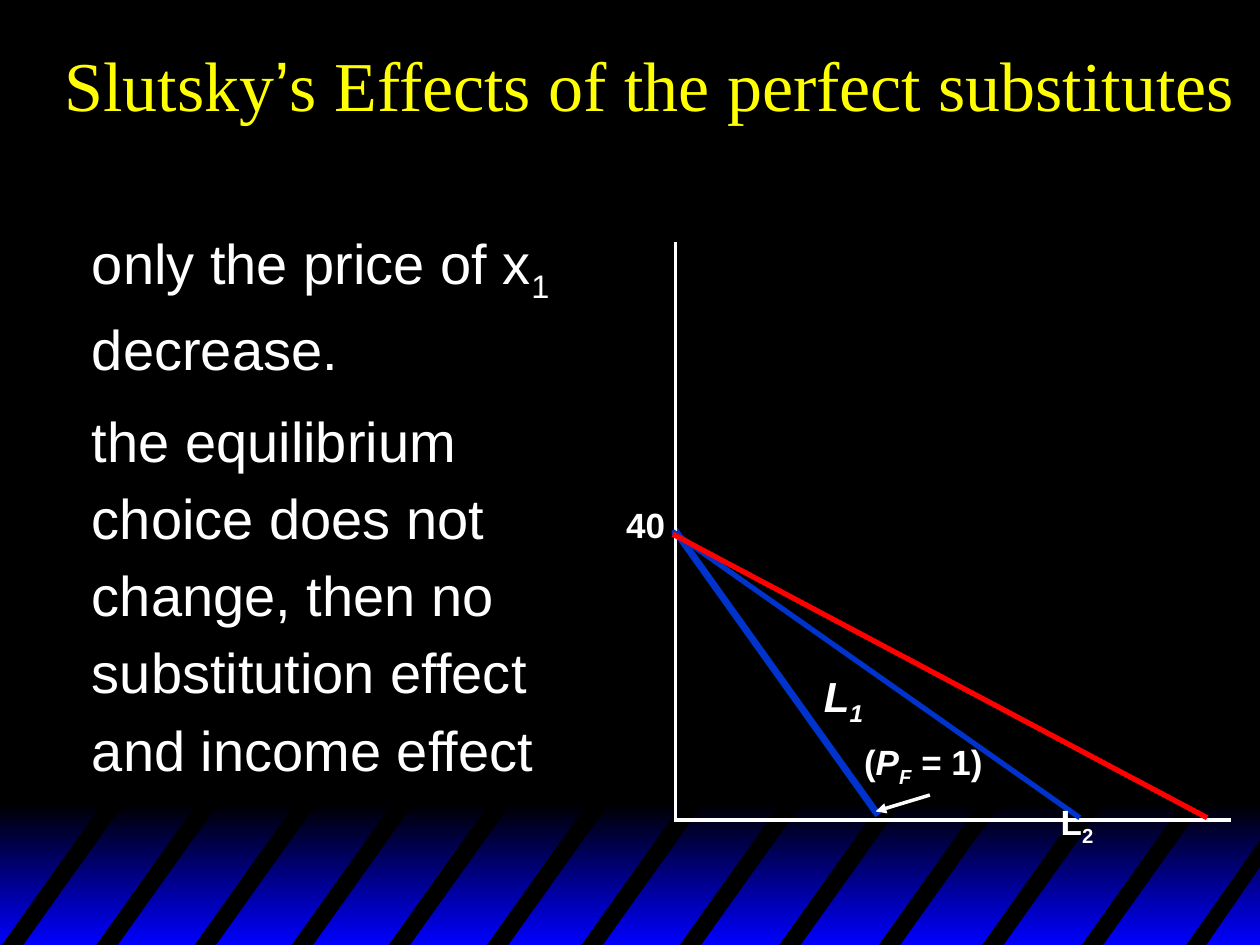
from lxml import etree
from pptx import Presentation
from pptx.dml.color import RGBColor
from pptx.enum.shapes import MSO_CONNECTOR, MSO_SHAPE
from pptx.enum.text import MSO_ANCHOR, MSO_AUTO_SIZE, PP_ALIGN
from pptx.oxml.ns import qn
from pptx.util import Inches, Pt

STRAIGHT = MSO_CONNECTOR.STRAIGHT
RECT = MSO_SHAPE.RECTANGLE
MIDDLE, TOP = MSO_ANCHOR.MIDDLE, MSO_ANCHOR.TOP
LEFT, CENTER = PP_ALIGN.LEFT, PP_ALIGN.CENTER
NO_FIT, GROW = MSO_AUTO_SIZE.NONE, MSO_AUTO_SIZE.SHAPE_TO_FIT_TEXT

BLACK, WHITE, YELLOW = "000000", "FFFFFF", "FFFF00"
RED, BLUE, BRIGHT_BLUE = "FF0000", "0033CC", "0000FF"
SANS, SERIF = "Arial", "Times New Roman"


def rgb(value):
    return RGBColor.from_string(value)


class SlideBuilder:
    def __init__(self, slide):
        self.s = slide
        fill = slide.background.fill
        fill.solid()
        fill.fore_color.rgb = rgb(BLACK)

    def gradient_band(self, x, y, w, h, start, end):
        sp = self.s.shapes.add_shape(RECT, Inches(x), Inches(y), Inches(w), Inches(h))
        sp.shadow.inherit = False
        sp.line.fill.background()
        sp.fill.gradient()
        sp.fill.gradient_angle = 270
        for stop, color, position in zip(sp.fill.gradient_stops, (start, end), (0, 1)):
            stop.color.rgb = rgb(color)
            stop.position = position

    def polygon(self, points, color):
        pts = [(Inches(x), Inches(y)) for x, y in points]
        builder = self.s.shapes.build_freeform(*pts[0])
        builder.add_line_segments(pts[1:], close=True)
        sp = builder.convert_to_shape()
        sp.shadow.inherit = False
        sp.fill.solid()
        sp.fill.fore_color.rgb = rgb(color)
        sp.line.fill.background()

    def line(self, start, end, color, width, arrow=False):
        sp = self.s.shapes.add_connector(STRAIGHT, *map(Inches, start + end))
        sp.line.color.rgb = rgb(color)
        sp.line.width = Pt(width)
        if arrow:
            ln = sp.element.spPr.find(qn("a:ln"))
            etree.SubElement(ln, qn("a:tailEnd"), type="triangle")
        etree.SubElement(sp.element.spPr, qn("a:effectLst"))

    def add_runs(self, p, runs, size, color=WHITE, bold=False):
        for text, *marks in runs:
            r = p.add_run()
            r.text = text
            font = r.font
            font.name = SERIF if "serif" in marks else SANS
            font.size = Pt(size)
            font.bold = bold
            font.italic = "italic" in marks
            font.color.rgb = rgb(color)
            if "sub" in marks:
                r._r.get_or_add_rPr().set("baseline", "-25000")

    def placeholder(self, index, x, y, w, h, anchor):
        sp = self.s.placeholders[index]
        sp.left, sp.top, sp.width, sp.height = map(Inches, (x, y, w, h))
        sp.element.getparent().append(sp.element)
        tf = sp.text_frame
        tf.word_wrap = True
        tf.auto_size = NO_FIT
        tf.vertical_anchor = anchor
        return tf

    def title(self, x, y, w, h, runs):
        p = self.placeholder(0, x, y, w, h, MIDDLE).paragraphs[0]
        p.alignment = CENTER
        self.add_runs(p, runs, 40, YELLOW)

    def body(self, x, y, w, h, paragraphs):
        tf = self.placeholder(1, x, y, w, h, TOP)
        for i, runs in enumerate(paragraphs):
            p = tf.add_paragraph() if i else tf.paragraphs[0]
            p.alignment = LEFT
            p.line_spacing = 1.15
            p.space_before = Pt(8 if i else 0)
            pPr = p._p.get_or_add_pPr()
            pPr.set("marL", str(Inches(0.38)))
            pPr.set("indent", "0")
            etree.SubElement(pPr, qn("a:buNone"))
            self.add_runs(p, runs, 32)

    def label(self, x, y, w, h, runs, size=20, wrap=False):
        sp = self.s.shapes.add_textbox(Inches(x), Inches(y), Inches(w), Inches(h))
        tf = sp.text_frame
        tf.word_wrap = wrap
        tf.auto_size = GROW
        self.add_runs(tf.paragraphs[0], runs, size, bold=True)


def main():
    prs = Presentation()
    prs.slide_width, prs.slide_height = Inches(10), Inches(7.5)
    b = SlideBuilder(prs.slides.add_slide(prs.slide_layouts[1]))

    b.gradient_band(0, 6.38, 10.02, 1.12, BLACK, BRIGHT_BLUE)
    stripe_top, stripe_bottom, slant, thickness = 6.34, 7.52, 0.84, 0.17
    for x in (0, 0.75, 1.53, 2.3, 3.07, 3.85, 4.6, 5.38, 6.17, 6.96, 7.78, 8.57):
        b.polygon([(x, stripe_bottom), (x + slant, stripe_top),
                   (x + slant + thickness, stripe_top),
                   (x + thickness, stripe_bottom)], BLACK)
    b.polygon([(9.4, stripe_bottom), (10.02, 6.64), (10.02, 6.85),
               (9.56, stripe_bottom)], BLACK)

    b.title(0.31, 0, 9.69, 1.33, [
        ("Slutsky", "serif"), ("’",),
        ("s Effects of the perfect substitutes", "serif")])
    b.body(0.25, 1.67, 4.46, 5.33, [
        [("only the price of x",), ("1", "sub"), (" decrease.",)],
        [("the equilibrium choice does not change, then no "
          "substitution effect and income effect",)]])

    b.line((5.35, 6.51), (9.77, 6.51), WHITE, 2)
    b.label(4.87, 3.95, 0.51, 0.43, [("40",)])
    b.line((5.35, 4.2), (6.97, 6.47), BLUE, 4)
    b.label(6.76, 5.83, 1.14, 0.48, [
        ("(",), ("P", "italic"), ("F", "italic", "sub"), (" = 1)",)])
    b.label(6.44, 5.27, 0.51, 0.55, [("L", "italic"), ("1", "italic", "sub")], size=24)
    b.line((7.38, 6.31), (6.95, 6.44), WHITE, 2, arrow=True)
    b.line((5.36, 1.92), (5.36, 6.5), WHITE, 2)
    b.line((5.34, 4.22), (8.57, 6.49), BLUE, 3)
    b.line((5.34, 4.24), (9.58, 6.49), RED, 3)
    b.label(8.32, 6.3, 0.64, 0.48, [("L",), ("2", "sub")], wrap=True)

    prs.save("out.pptx")


if __name__ == "__main__":
    main()
